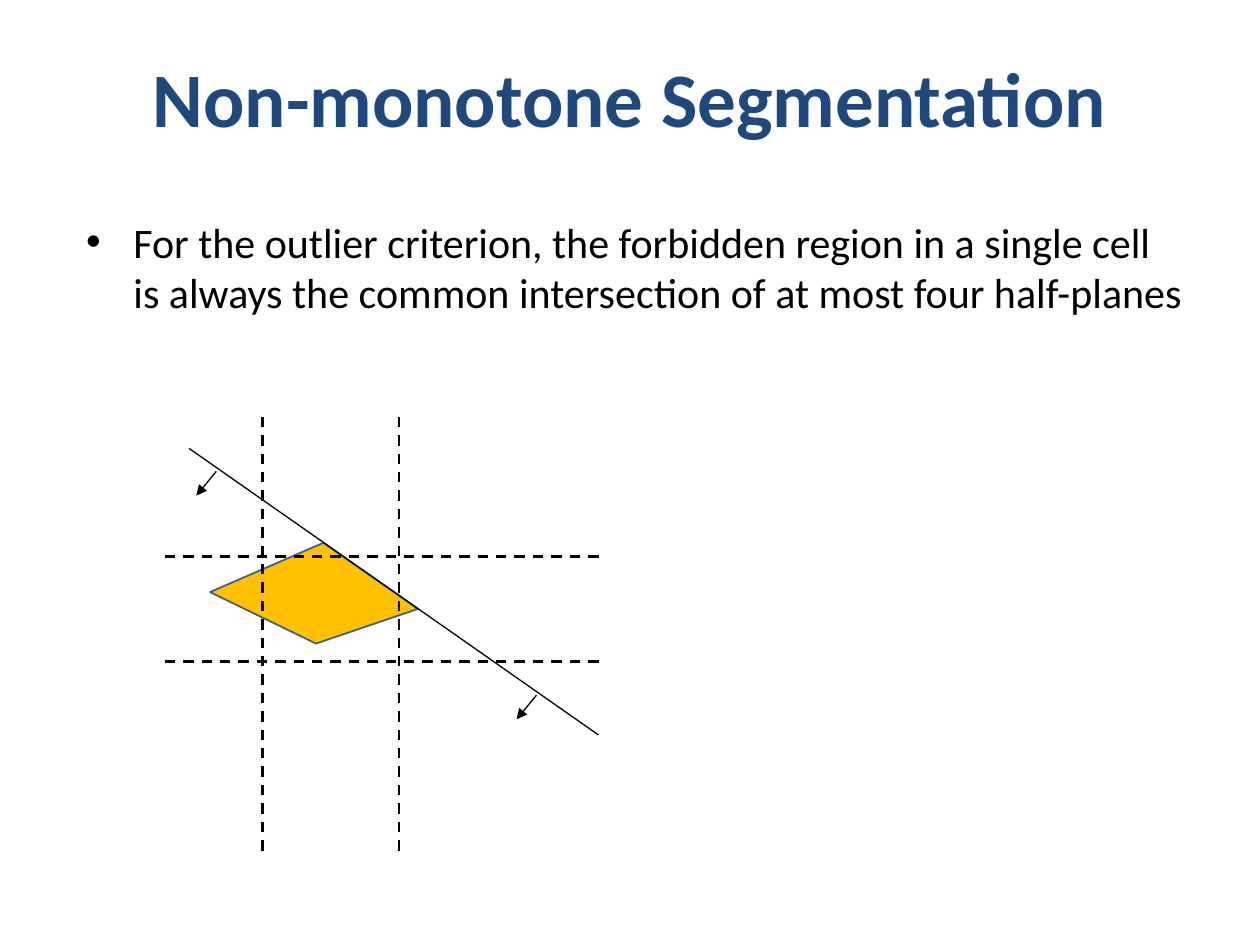
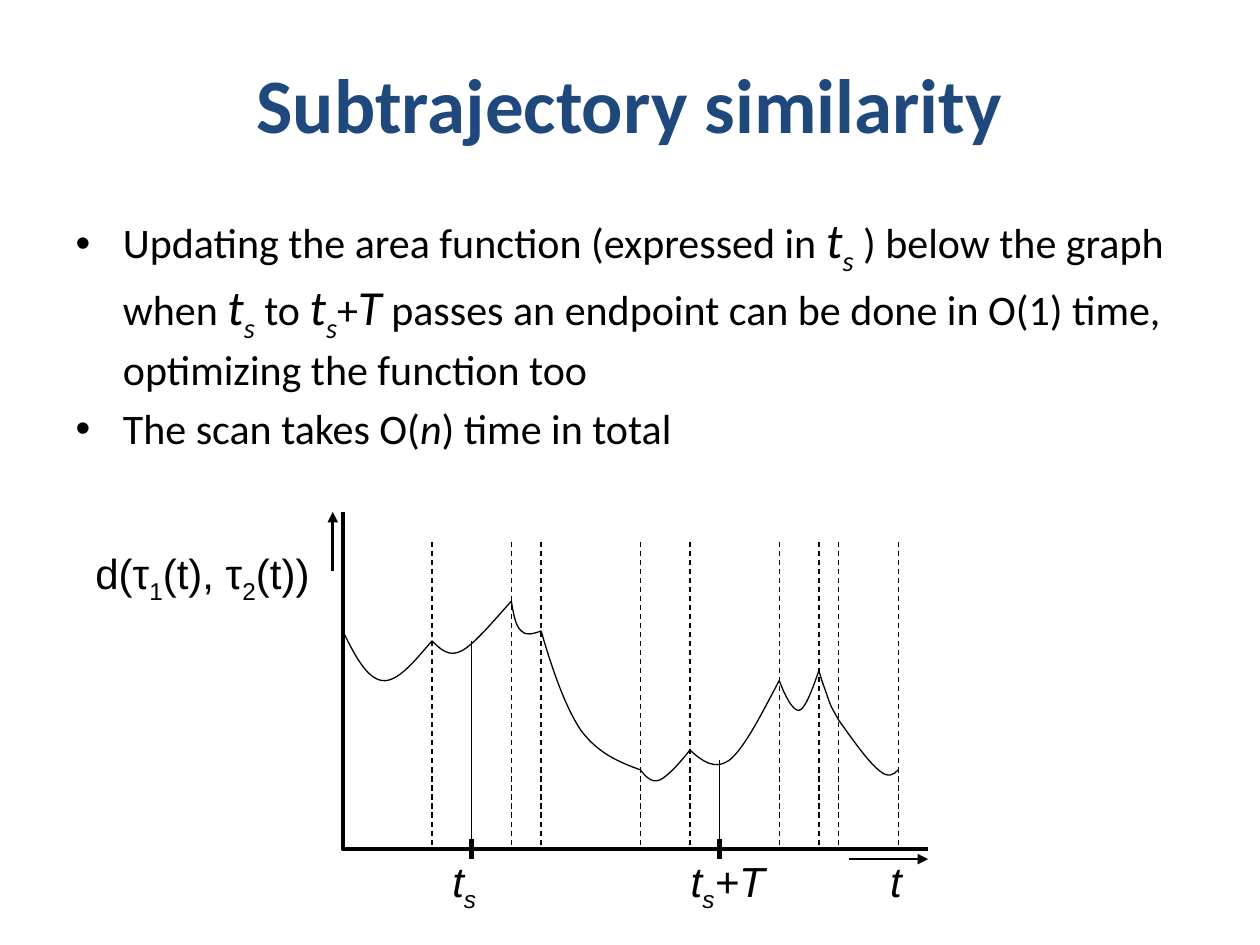
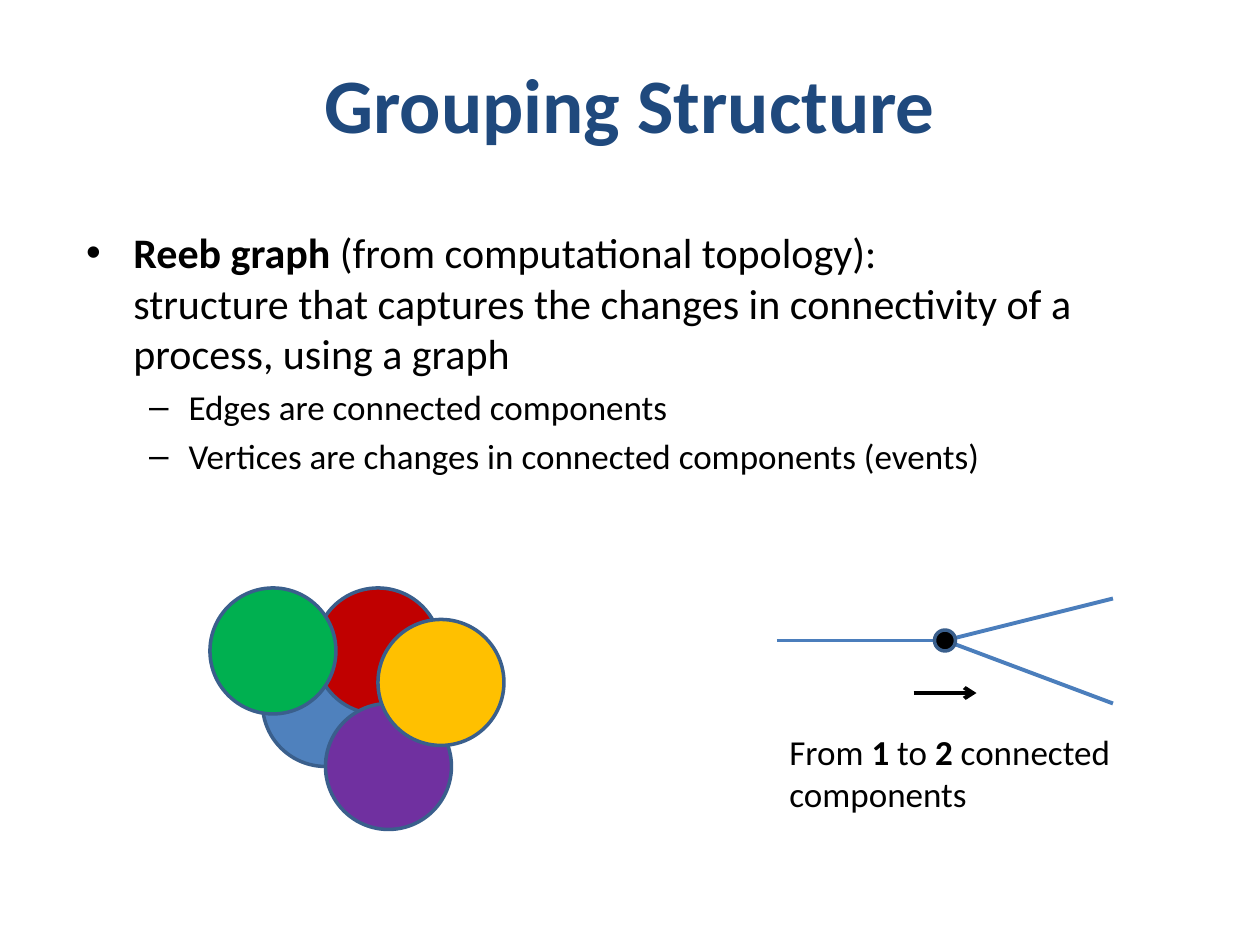
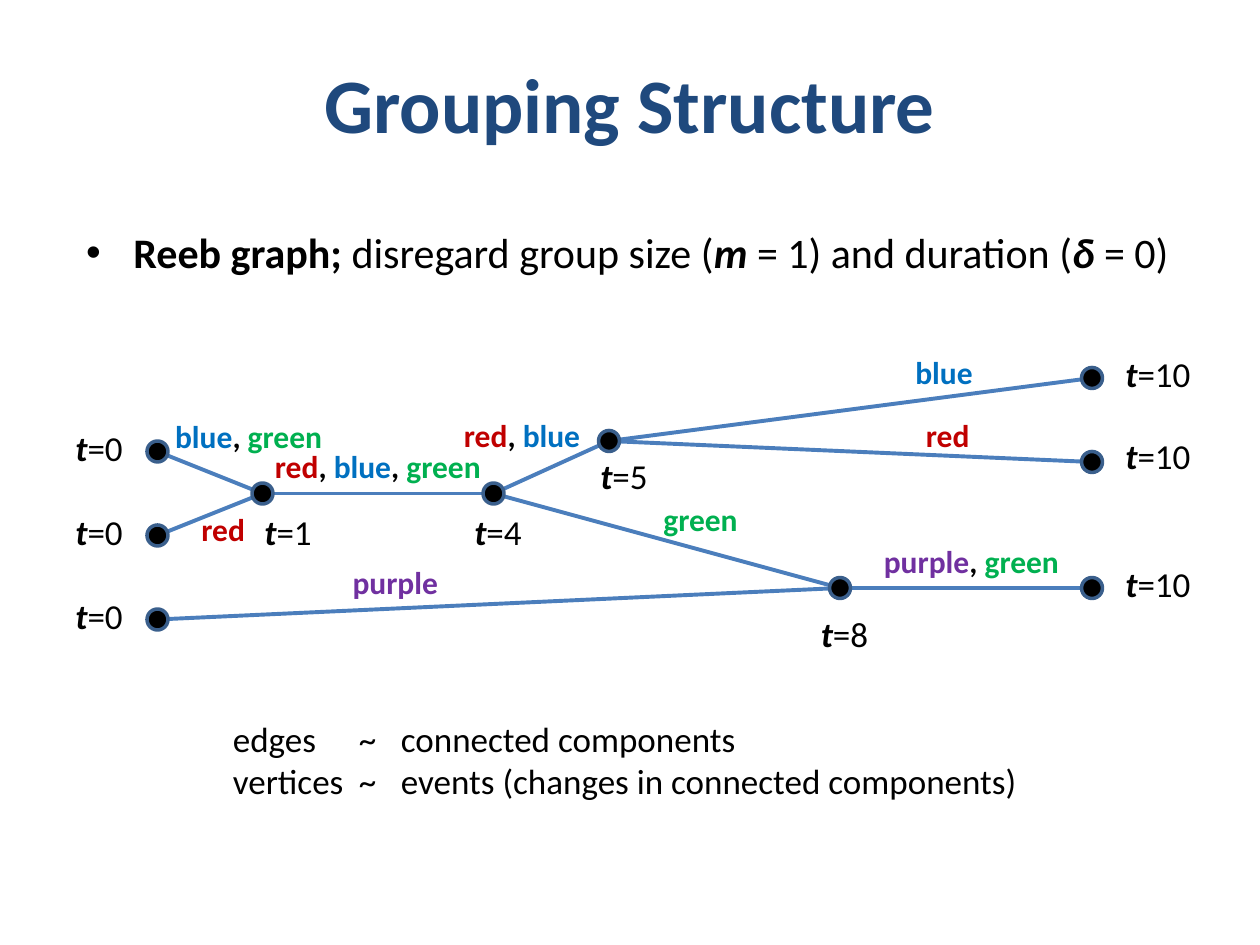
"""Builds four slides on trajectory segmentation, similarity and grouping."""
from lxml import etree
from pptx import Presentation, util as u
from pptx.dml.color import RGBColor
from pptx.enum import dml, shapes, text
from pptx.oxml.ns import qn

BLACK = RGBColor(0, 0, 0)
NAVY = RGBColor(0x1F, 0x49, 0x7D)
EDGE = RGBColor(0x4B, 0x7E, 0xBC)
RIM = RGBColor(0x3A, 0x5F, 0x8C)
STEEL = RGBColor(0x4F, 0x81, 0xBD)
GOLD = RGBColor(0xFF, 0xC0, 0x00)
RED = RGBColor(0xC0, 0x00, 0x00)
BLUE = RGBColor(0x00, 0x70, 0xC0)
GREEN = RGBColor(0x00, 0xB0, 0x50)
PURPLE = RGBColor(0x70, 0x30, 0xA0)
HUES = {"red": RED, "blue": BLUE, "green": GREEN, "purple": PURPLE}

deck = Presentation()
deck.slide_width, deck.slide_height = u.Inches(10), u.Inches(7.5)
UNIT = deck.slide_width // 120
STEP = u.Mm(2)
GRID = (0, 0, UNIT, UNIT)
PLOT = (u.Inches(2.72), u.Inches(6.74), STEP, -STEP)


def write(para, size, runs, font="Calibri", color=BLACK):
    """Fill a paragraph; marks are b bold, i italic, s subscript, l large."""
    para.font.size, para.font.name = u.Pt(size), font
    para.font.color.rgb = color
    for words, marks, *hue in runs:
        if words == "\n":
            para.add_line_break()
            continue
        run = para.add_run()
        run.text = words
        if "b" in marks:
            run.font.bold = True
        if "i" in marks:
            run.font.italic = True
        if "l" in marks:
            run.font.size = u.Pt(28)
        if "s" in marks:
            run._r.get_or_add_rPr().set("baseline", "-25000")
        if hue:
            run.font.color.rgb = hue[0]


def line(slide, grid, ends, width, color=BLACK, dash=False, tip=None):
    """Draw a straight line between two points of a grid."""
    left, top, wide, high = grid
    x1, y1, x2, y2 = ends
    link = slide.shapes.add_connector(
        shapes.MSO_CONNECTOR.STRAIGHT,
        round(left + x1 * wide), round(top + y1 * high),
        round(left + x2 * wide), round(top + y2 * high))
    link.line.color.rgb, link.line.width = color, u.Pt(width)
    if dash:
        link.line.dash_style = dml.MSO_LINE.DASH
    if tip:
        etree.SubElement(link.line._get_or_add_ln(), qn("a:tailEnd"), type=tip)
    etree.SubElement(link._element.spPr, qn("a:effectLst"))


pages = [
    ("Non-monotone Segmentation", 3, (7, 20, 107, 29), [
        (0, 24, [("For the outlier criterion, the forbidden region in a single cell "
                  "is always the common intersection of at most four half-planes", "")])]),
    ("Subtrajectory similarity", 3.6, (6, 19.4, 108.8, 29.3), [
        (0, 24, [("Updating the area function (expressed in ", ""), ("t", "il"), ("s", "ils"),
                 (" ) below the graph when ", ""), ("t", "il"), ("s", "ils"),
                 (" to ", ""), ("t", "il"), ("s", "ils"), ("+", ""), ("T", "il"),
                 (" passes an endpoint can be done in O(1) time, "
                  "optimizing the function too", "")]),
        (0, 24, [("The scan takes O(", ""), ("n", "i"), (") time in total", "")])]),
    ("Grouping Structure", 3.6, (7, 21, 106, 32), [
        (0, 24, [("Reeb graph ", "b"), ("(from computational topology):", ""), ("\n", ""),
                 ("structure that captures the changes in connectivity of a process, "
                  "using a graph", "")]),
        (1, 20, [("Edges are connected components", "")]),
        (1, 20, [("Vertices are changes in connected components (events)", "")])]),
    ("Grouping Structure", 3.6, (7, 21, 108, 18), [
        (0, 24, [("Reeb graph; ", "b"), ("disregard group size (", ""), ("m ", "bi"),
                 ("= 1) and duration (", ""), ("δ ", "bi"), ("= 0)", "")])]),
]
slides = []
for name, top, area, items in pages:
    slide = deck.slides.add_slide(deck.slide_layouts[1])
    slides.append(slide)
    title, body = slide.placeholders
    for holder, spot in ((title, (6, top, 108, 12.4)), (body, area)):
        holder.left, holder.top, holder.width, holder.height = [round(n * UNIT) for n in spot]
        holder.text_frame.auto_size = text.MSO_AUTO_SIZE.NONE
    head = title.text_frame.paragraphs[0]
    head.alignment = text.PP_ALIGN.CENTER
    write(head, 44, [(name, "")], color=NAVY)
    head.font.bold = True
    for i, (level, size, runs) in enumerate(items):
        para = body.text_frame.add_paragraph() if i else body.text_frame.paragraphs[0]
        para.level = level
        write(para, size, runs)
cells, graph, split, reeb = slides

corners = [(round(x * UNIT), round(y * UNIT))
           for x, y in ((30.1, 61.3), (39.8, 58), (30.8, 51.7), (20, 56.4))]
pen = cells.shapes.build_freeform(*corners[0], scale=1)
pen.add_line_segments(corners[1:], close=True)
region = pen.convert_to_shape()
region.shadow.inherit = False
region.fill.solid()
region.fill.fore_color.rgb = GOLD
region.line.color.rgb, region.line.width = RIM, u.Pt(1)
for ends in ((57, 63, 15, 63), (25, 81, 25, 39), (38, 81, 38, 39), (57, 53, 15, 53)):
    line(cells, GRID, ends, 1.5, dash=True)
line(cells, GRID, (18, 42.7, 57, 70), 0.75)
for x, y in ((20.6, 44.9), (51.1, 66.2)):
    line(cells, GRID, (x, y, x - 1.9, y + 2.3), 0.75, tip="triangle")

axes = [(0, 34), (0, 0), (59, 0)]
curves = [
    [(0, 22), (1.2, 19.6), (2.4, 17.2), (4, 17), (5.5, 16.8), (7.2, 18.9), (9, 21)],
    [(9, 21), (9.8, 20.2), (10.7, 19.3), (12, 20), (13.3, 20.7), (15.1, 22.9), (17, 25)],
    [(17, 25), (17.2, 23.8), (17.4, 22.5), (18, 22), (18.4, 21.5), (19.2, 21.7), (20, 22)],
    [(20, 22), (21.1, 18.2), (22.4, 14.4), (24, 12), (25.7, 9.7), (27.8, 8.8), (30, 8)],
    [(30, 8), (30.5, 7.4), (31.1, 6.6), (32, 7), (32.8, 7.4), (33.9, 8.6), (35, 10)],
    [(35, 10), (36.2, 8.9), (37.5, 7.9), (39, 9), (40.5, 10.2), (42.2, 13.6), (44, 17)],
    [(44, 17), (44.6, 15.4), (45.4, 13.9), (46, 14), (46.6, 14.1), (47.3, 16), (48, 18)],
    [(48, 18), (48.3, 16.9), (48.7, 15.9), (49, 15), (49.3, 14.1), (49.7, 13.6), (50, 13)],
    [(50, 13), (51.5, 10.9), (53, 8.8), (54, 8), (55, 7.1), (55.5, 7.5), (56, 8)],
]
for trace in [axes] + curves:
    spots = [(round(PLOT[0] + x * STEP), round(PLOT[1] - y * STEP)) for x, y in trace]
    pen = graph.shapes.build_freeform(*spots[0], scale=1)
    pen.add_line_segments(spots[1:], close=False)
    stroke = pen.convert_to_shape()
    stroke.shadow.inherit = False
    stroke.fill.background()
    stroke.line.color.rgb = BLACK
    stroke.line.width = u.Pt(2.25 if trace is axes else 0.75)
    if trace is not axes:
        legs = list(stroke._element.iter(qn("a:lnTo")))
        for k in range(0, len(legs), 3):
            bend = etree.SubElement(legs[0].getparent(), qn("a:cubicBezTo"))
            for leg in legs[k:k + 3]:
                bend.append(leg[0])
        for leg in legs:
            leg.getparent().remove(leg)
for curve in curves:
    x = curve[-1][0]
    line(graph, PLOT, (x, 31, x, 0), 0.75, dash=True)
for ends in ((51, -1, 59, -1), (-1, 28, -1, 34)):
    line(graph, PLOT, ends, 1.5, tip="triangle")
for x, y in ((13, 21), (38, 9)):
    line(graph, PLOT, (x, 0, x, y), 0.75)
    line(graph, PLOT, (x, 1, x, -1), 3)

for ends in ((74, 61, 90, 61), (90, 61, 106, 57), (90, 61, 106, 67)):
    line(split, GRID, ends, 2.25, EDGE)
line(split, GRID, (87, 66, 93, 66), 2.25, tip="arrow")
nodes = [(15, 43), (15, 51), (15, 59), (25, 47), (47, 47),
         (58, 42), (80, 56), (104, 36), (104, 44), (104, 56)]
for a, b in ((0, 3), (1, 3), (3, 4), (4, 5), (4, 6), (2, 6), (6, 9), (5, 7), (5, 8)):
    line(reeb, GRID, nodes[a] + nodes[b], 2.25, EDGE)

dots = [(split, x, y, 12, fill) for x, y, fill in (
    (31, 67, STEEL), (36, 62, RED), (26, 62, GREEN), (37, 73, PURPLE), (42, 65, GOLD))]
dots += [(split, 90, 61, 2, BLACK)] + [(reeb, x, y, 2, BLACK) for x, y in nodes]
for slide, x, y, size, fill in dots:
    dot = slide.shapes.add_shape(
        shapes.MSO_SHAPE.OVAL, (x - size // 2) * UNIT, (y - size // 2) * UNIT,
        size * UNIT, size * UNIT)
    dot.shadow.inherit = False
    dot.fill.solid()
    dot.fill.fore_color.rgb = fill
    dot.line.color.rgb, dot.line.width = RIM, u.Pt(2)

notes = [
    (graph, (41.9, 80.9, 4.8, 6), 24, [("t", "i"), ("s", "is")]),
    (graph, (83.6, 80.9, 3.5, 6), 24, [("t", "i")]),
    (graph, (64.6, 80.9, 9.6, 6), 24, [("t", "i"), ("s", "is"), ("+T", "i")]),
    (graph, (7.9, 51.6, 24.6, 6), 24,
     [("d(τ", ""), ("1", "s"), ("(t), τ", ""), ("2", "s"), ("(t))", "")]),
    (split, (74, 69, 34, 9.2), 20,
     [("From ", ""), ("1", "b"), (" to ", ""), ("2", "b"), (" connected components", "")]),
    (reeb, (21, 67.7, 78, 9.2), 20,
     [("edges\t~\tconnected components", ""), ("\n", ""),
      ("vertices\t~\tevents (changes in connected components)", "")]),
]
for x, y, wide, names in (
        (32.4, 53, 10.6, "purple"), (25, 42, 22.2, "red blue green"),
        (15.5, 39.1, 16.6, "blue green"), (18, 48, 6.6, "red"), (62, 47, 9.6, "green"),
        (83, 51, 19.2, "purple green"), (87, 39, 6.6, "red"), (86, 33, 7.9, "blue"),
        (43, 39, 13.6, "red blue")):
    runs = []
    for name in names.split():
        runs += [(", ", "b")] if runs else []
        runs.append((name, "b", HUES[name]))
    notes.append((reeb, (x, y, wide, 4.8), 18, runs))
for x, y, time in ((6, 40, 0), (6, 48, 0), (6, 56, 0), (24, 48, 1), (44, 48, 4),
                   (56, 42.7, 5), (77, 57.7, 8), (106, 33, 10), (106, 40.8, 10), (106, 53, 10)):
    wide = 8.6 if time == 10 else 7
    notes.append((reeb, (x, y, wide, 5.3), 20, [("t", "bi"), (f"={time}", "")]))
for slide, spot, size, runs in notes:
    box = slide.shapes.add_textbox(*[round(n * UNIT) for n in spot])
    frame = box.text_frame
    frame.word_wrap = spot[2] > 30
    frame.auto_size = text.MSO_AUTO_SIZE.SHAPE_TO_FIT_TEXT
    para = frame.paragraphs[0]
    if "\t" in runs[0][0]:
        tabs = etree.SubElement(para._p.get_or_add_pPr(), qn("a:tabLst"))
        for stop in (12, 16):
            etree.SubElement(tabs, qn("a:tab"), pos=str(stop * UNIT), algn="l")
    write(para, size, runs, "Arial" if slide is graph else "Calibri")

deck.save("out.pptx")
